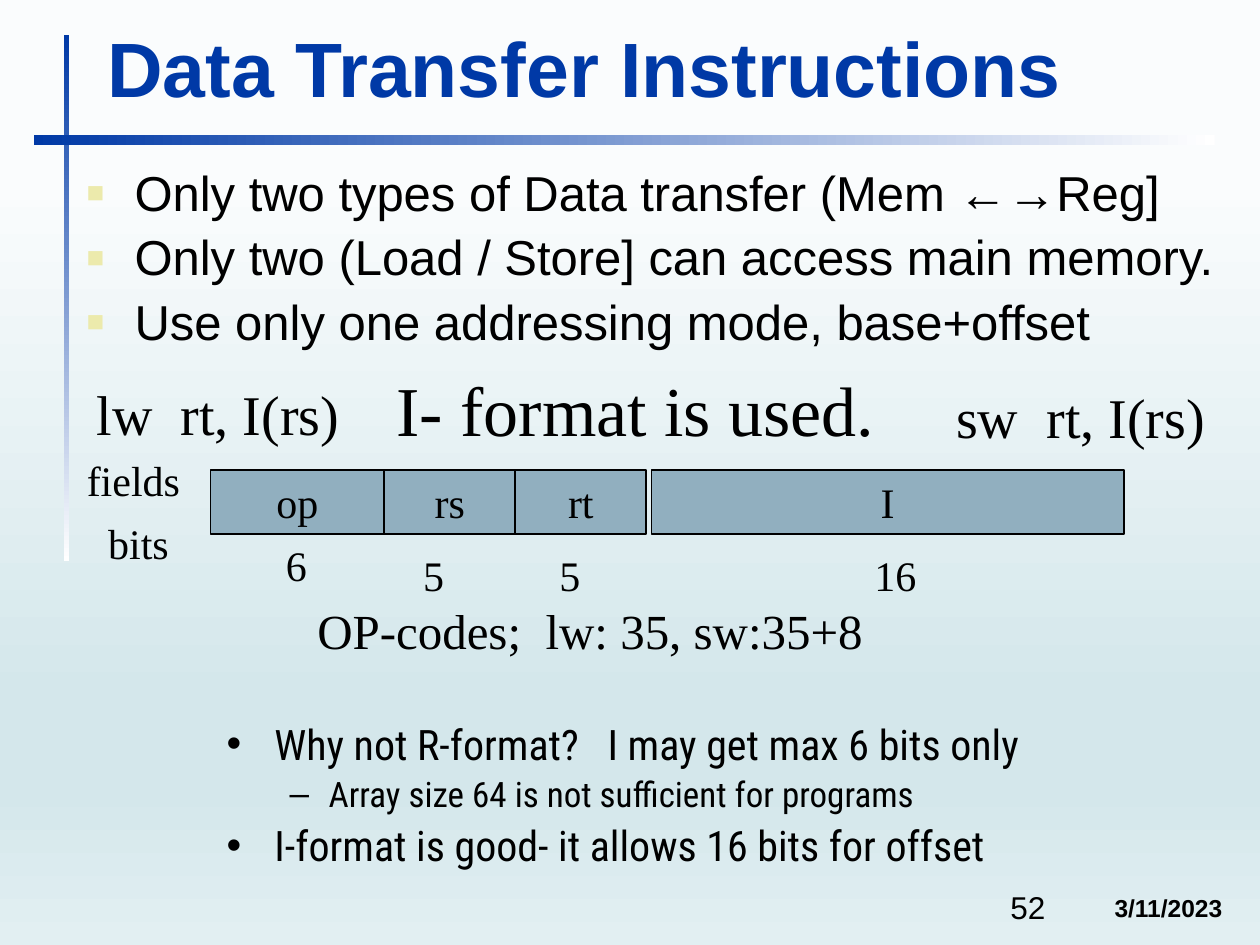
"""Build the data transfer instructions slide."""
from dataclasses import dataclass

from lxml.etree import SubElement
from pptx import Presentation
from pptx.dml.color import RGBColor
from pptx.enum.shapes import MSO_SHAPE
from pptx.enum.text import MSO_ANCHOR as Anchor, MSO_AUTO_SIZE as AutoSize, PP_ALIGN as Align
from pptx.oxml.ns import qn
from pptx.util import Inches, Pt


@dataclass(frozen=True)
class Theme:
    blue: str = "0039A6"
    white: str = "FFFFFF"
    black: str = "000000"
    cell: str = "91AFBF"
    bullet: str = "ECEAAC"
    sans: str = "Arial"
    serif: str = "Times New Roman"
    condensed: str = "Roboto Condensed"
    title: int = 44
    banner: int = 40
    syntax: int = 32
    body: int = 28
    label: int = 24
    detail: int = 20
    number: int = 18
    date: int = 14


THEME = Theme()
WIDTH, HEIGHT = 10, 7.5
TITLE = "Data Transfer Instructions"
BACKDROP = [(19, "FAFCFD"), (74, "D4E7EB"), (83, "D4E7EB"), (100, "E2EFF2")]
FADE = [(0, THEME.blue), (100, THEME.white)]
RULES = [((0.51, 0.28, 0.04, 4.17), 90), ((0.27, 1.07, 9.37, 0.08), 0)]
POINTS = [
    "Only two types of Data transfer (Mem ←→Reg]",
    "Only two (Load / Store] can access main memory.",
    "Use only one addressing mode, base+offset",
]
REASONS = [
    (0, "Why not R-format?   I may get max 6 bits only"),
    (1, "Array size 64 is not sufficient for programs"),
    (0, "I-format is good- it allows 16 bits for offset"),
]
REASON_LEVELS = [("•", THEME.label, 0.38, 0.38), ("–", THEME.detail, 0.81, 0.31)]
SERIF_LABELS = [
    ("sw  rt, I(rs)", (7.49, 2.99, 2.33, 0.64), THEME.syntax),
    ("lw  rt, I(rs)", (0.67, 2.96, 2.33, 0.63), THEME.syntax),
    ("I- format is used.", (3.05, 2.86, 4.25, 0.77), THEME.banner),
    ("fields", (0.59, 3.56, 1.08, 0.5), THEME.label),
    ("bits", (0.76, 4.06, 1.08, 0.5), THEME.label),
    ("OP-codes;  lw: 35, sw:35+8", (2.42, 4.72, 6, 0.57), THEME.body),
]
FIELD_LEFT, FIELD_TOP, FIELD_HEIGHT = 1.67, 3.73, 0.51
FIELDS = [
    ("op", "6", 1.38, 0, 0.5, 0.5),
    ("rs", "5", 1.04, 0, 0.21, 0.58),
    ("rt", "5", 1.04, 0, 0.25, 0.58),
    ("I", "16", 3.75, 0.04, 1.67, 0.58),
]


def color(value):
    return RGBColor.from_string(value)


def set_gradient(owner, fill, stops, angle):
    fill.gradient()
    fill.gradient_angle = (360 - angle) % 360
    stop_list = owner.element.xpath(".//a:gsLst")[0]
    for stop in list(stop_list):
        stop_list.remove(stop)
    for position, value in stops:
        stop = SubElement(stop_list, qn("a:gs"), pos=str(position * 1000))
        SubElement(stop, qn("a:srgbClr"), val=value)


def add_run(paragraph, text, size, font, value=THEME.black, bold=False):
    run = paragraph.add_run()
    run.text = text
    run.font.size = Pt(size)
    run.font.name = font
    run.font.bold = bold
    run.font.color.rgb = color(value)


def add_text_box(slide, box):
    frame = slide.shapes.add_textbox(*map(Inches, box)).text_frame
    frame.word_wrap = True
    return frame


def add_label(slide, text, box, size, font=THEME.serif, bold=False):
    frame = add_text_box(slide, box)
    add_run(frame.paragraphs[0], text, size, font, bold=bold)
    return frame


def add_rectangle(slide, box):
    shape = slide.shapes.add_shape(MSO_SHAPE.RECTANGLE, *map(Inches, box))
    shape.shadow.inherit = False
    return shape


def set_bullet(paragraph, symbol, indent, hanging, value=None, percent=100):
    properties = paragraph._p.get_or_add_pPr()
    properties.set("marL", str(Inches(indent)))
    properties.set("indent", str(-Inches(hanging)))
    if value:
        bullet_color = SubElement(properties, qn("a:buClr"))
        SubElement(bullet_color, qn("a:srgbClr"), val=value)
    SubElement(properties, qn("a:buSzPct"), val=str(percent * 1000))
    SubElement(properties, qn("a:buFont"), typeface=THEME.sans)
    SubElement(properties, qn("a:buChar"), char=symbol)


def add_bullets(slide, box, items, levels, font, value=None, percent=100):
    frame = add_text_box(slide, box)
    for index, (level, text) in enumerate(items):
        symbol, size, indent, hanging = levels[level]
        paragraph = frame.add_paragraph() if index else frame.paragraphs[0]
        paragraph.level = level
        set_bullet(paragraph, symbol, indent, hanging, value, percent)
        paragraph.line_spacing = 0.9 if index or value else 1.0
        paragraph.space_before = Pt(round(size * 0.24, 1) if index else 0)
        add_run(paragraph, text, size, font)


def add_title(slide):
    title = slide.shapes.title
    title.left, title.top, title.width, title.height = map(Inches, (0.75, 0.45, 8.42, 0.5))
    frame = title.text_frame
    frame.auto_size = AutoSize.NONE
    frame.vertical_anchor = Anchor.BOTTOM
    frame.paragraphs[0].alignment = Align.LEFT
    add_run(frame.paragraphs[0], TITLE, THEME.title, THEME.sans, THEME.blue, True)


def add_fields(slide):
    left = FIELD_LEFT
    for name, bits, width, gap, inset, drop in FIELDS:
        left += gap
        cell = add_rectangle(slide, (left, FIELD_TOP, width, FIELD_HEIGHT))
        cell.fill.solid()
        cell.fill.fore_color.rgb = color(THEME.cell)
        cell.line.color.rgb = color(THEME.black)
        cell.line.width = Pt(1)
        frame = cell.text_frame
        frame.vertical_anchor = Anchor.TOP
        frame.paragraphs[0].alignment = Align.CENTER
        add_run(frame.paragraphs[0], name, THEME.label, THEME.serif)
        add_label(slide, bits, (left + inset, FIELD_TOP + drop, 0.58, 0.5), THEME.label)
        left += width


def main():
    presentation = Presentation()
    presentation.slide_width, presentation.slide_height = Inches(WIDTH), Inches(HEIGHT)
    slide = presentation.slides.add_slide(presentation.slide_layouts[5])
    set_gradient(slide, slide.background.fill, BACKDROP, 90)
    for box, angle in RULES:
        rule = add_rectangle(slide, box)
        set_gradient(rule, rule.fill, FADE, angle)
        rule.line.fill.background()
    add_title(slide)
    date = add_label(slide, "3/11/2023", (1.85, 6.98, 7.95, 0.39), THEME.date, THEME.sans, True)
    date.vertical_anchor = Anchor.BOTTOM
    date.paragraphs[0].alignment = Align.RIGHT
    add_label(slide, "52", (7.92, 7, 2.08, 0.5), THEME.number, THEME.sans)
    add_bullets(slide, (0.59, 1.29, 9.67, 1.83), [(0, point) for point in POINTS],
                [("■", THEME.body, 0.38, 0.38)], THEME.sans, THEME.bullet, 60)
    add_bullets(slide, (1.7, 5.65, 7.46, 1.41), REASONS, REASON_LEVELS, THEME.condensed)
    for text, box, size in SERIF_LABELS:
        add_label(slide, text, box, size)
    add_fields(slide)
    presentation.save("out.pptx")


if __name__ == "__main__":
    main()
